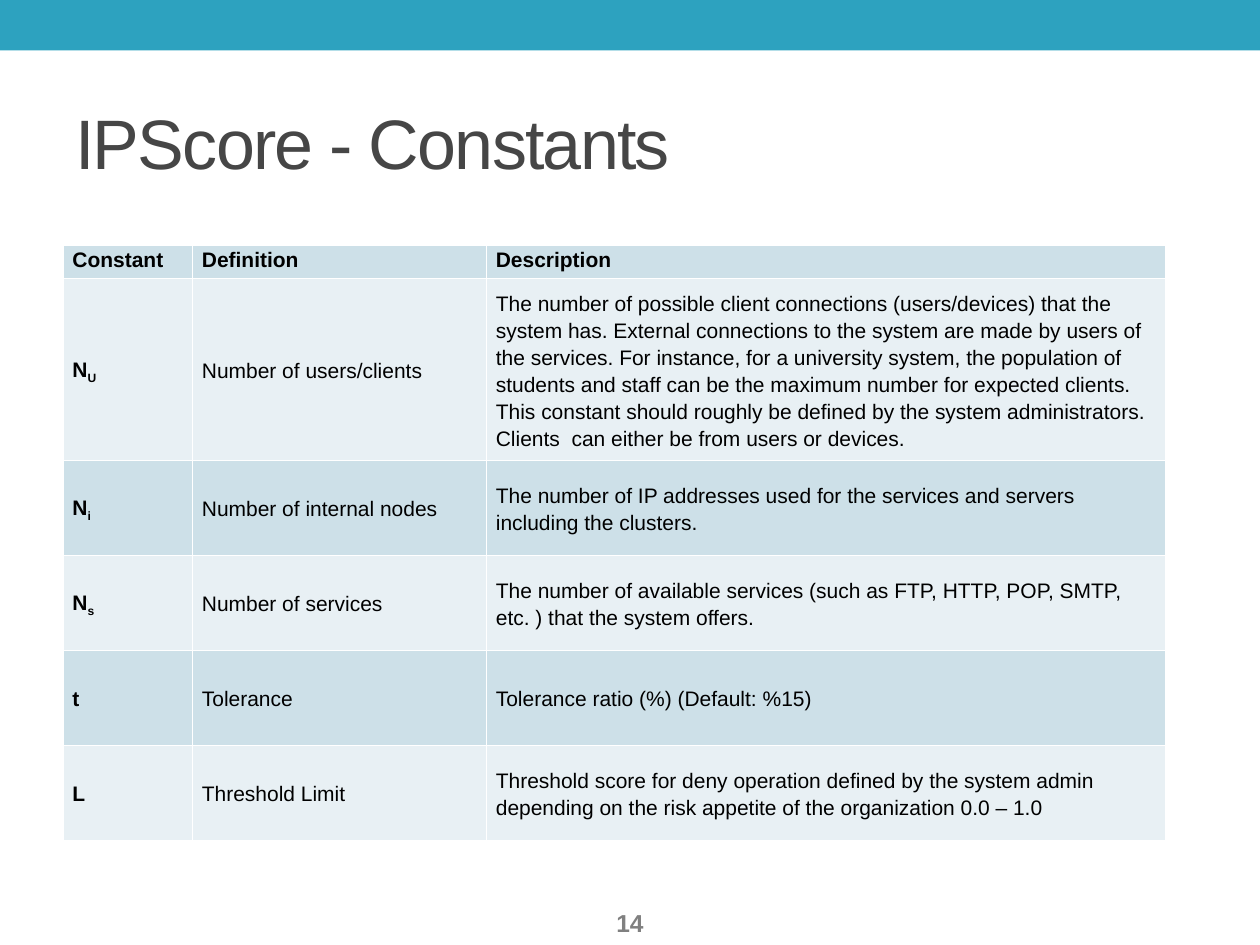
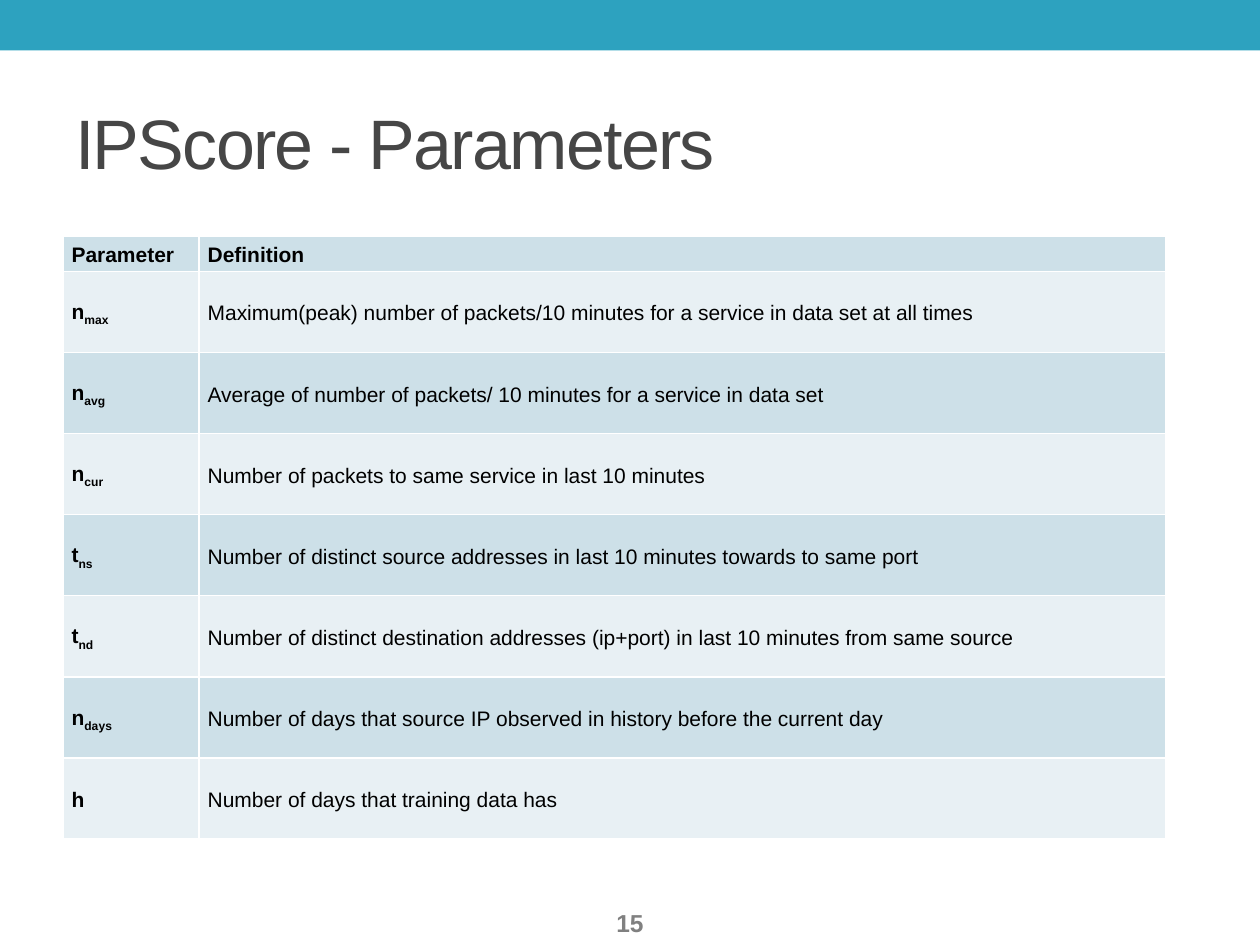
from lxml import etree
from pptx import Presentation, util as u
from pptx.dml.color import RGBColor
from pptx.enum import shapes, text
from pptx.oxml import ns

CONSTANTS = [
    ("Constant", "Definition", "Description"),
    (("N", "U"), "Number of users/clients",
     "The number of possible client connections (users/devices) that the system has. "
     "External connections to the system are made by users of the services. "
     "For instance, for a university system, the population of students and staff "
     "can be the maximum number for expected clients. This constant should roughly "
     "be defined by the system administrators. Clients  can either be from users or devices."),
    (("N", "i"), "Number of internal nodes",
     "The number of IP addresses used for the services and servers including the clusters."),
    (("N", "s"), "Number of services",
     "The number of available services (such as FTP, HTTP, POP, SMTP, etc. ) that the system offers."),
    ("t", "Tolerance", "Tolerance ratio (%) (Default: %15)"),
    ("L", "Threshold Limit",
     "Threshold score for deny operation defined by the system admin "
     "depending on the risk appetite of the organization 0.0 – 1.0"),
]
PARAMETERS = [
    ("Parameter", "Definition"),
    (("n", "max"), "Maximum(peak) number of packets/10 minutes for a service in data set at all times"),
    (("n", "avg"), "Average of number of packets/ 10 minutes for a service in data set"),
    (("n", "cur"), "Number of packets to same service in last 10 minutes"),
    (("t", "ns"), "Number of distinct source addresses in last 10 minutes towards to same port"),
    (("t", "nd"), "Number of distinct destination addresses (ip+port) in last 10 minutes from same source"),
    (("n", "days"), "Number of days that source IP observed in history before the current day"),
    ("h", "Number of days that training data has"),
]
SLIDES = [
    dict(title="IPScore - Constants", number=14, rows=CONSTANTS, top=140, inset=5.4,
         widths=[74, 168, 388], heights=[19.2, 103.9] + [54.3] * 4,
         header_anchor=text.MSO_ANCHOR.TOP),
    dict(title="IPScore - Parameters", number=15, rows=PARAMETERS, top=135, inset=4.9,
         widths=[77.8, 552.2], heights=[20] + [46.35] * 7,
         header_anchor=text.MSO_ANCHOR.MIDDLE),
]

FONT = "Arial"
WIDTH, HEIGHT, MARGIN = 720, 540, 36
BAND, TITLE, NUMBER, BODY, BORDER = "2DA2BF", "464646", "808080", "000000", "FFFFFF"
ROW_FILLS = ["CDE0E8", "E8F0F4"]


def color(value):
    return RGBColor.from_string(value)


def style_run(run, size, hue, bold=False):
    run.font.name, run.font.size, run.font.bold = FONT, u.Pt(size), bold
    run.font.color.rgb = color(hue)


def add_text(slide, box, content, size, hue, bold=False, align=None, spacing=0):
    shape = slide.shapes.add_textbox(*map(u.Pt, box))
    frame = shape.text_frame
    frame.word_wrap = True
    frame.vertical_anchor = text.MSO_ANCHOR.MIDDLE
    frame.text = content
    paragraph = frame.paragraphs[0]
    paragraph.alignment = align
    run = paragraph.runs[0]
    style_run(run, size, hue, bold)
    if spacing:
        run.font._element.set("spc", str(spacing * 100))


def add_frame(slide, title, number):
    band = slide.shapes.add_shape(shapes.MSO_SHAPE.RECTANGLE, 0, 0, u.Pt(WIDTH), u.Pt(28.8))
    band.shadow.inherit = False
    band.fill.solid()
    band.fill.fore_color.rgb = color(BAND)
    band.line.fill.background()
    add_text(slide, (MARGIN, 42, WIDTH - 2 * MARGIN, 78), title, 40, TITLE, spacing=-1)
    add_text(slide, ((WIDTH - 84) / 2, 514, 84, 26), str(number), 14, NUMBER,
             bold=True, align=text.PP_ALIGN.CENTER)


def set_borders(cell):
    properties = cell._tc.get_or_add_tcPr()
    for side in ("a:lnL", "a:lnR", "a:lnT", "a:lnB"):
        line = etree.SubElement(properties, ns.qn(side), w=str(u.Pt(1)))
        fill = etree.SubElement(line, ns.qn("a:solidFill"))
        etree.SubElement(fill, ns.qn("a:srgbClr"), val=BORDER)


def fill_cell(cell, content, fill, bold, anchor, inset):
    set_borders(cell)
    cell.fill.solid()
    cell.fill.fore_color.rgb = color(fill)
    cell.vertical_anchor = anchor
    cell.margin_left = cell.margin_right = u.Pt(inset)
    cell.margin_top = cell.margin_bottom = 0
    paragraph = cell.text_frame.paragraphs[0]
    paragraph.line_spacing = 1.15
    paragraph.space_after = u.Pt(10)
    parts = (content,) if isinstance(content, str) else content
    for index, part in enumerate(parts):
        run = paragraph.add_run()
        run.text = part
        style_run(run, 12, BODY, bold)
        if index:
            run.font._element.set("baseline", "-25000")


def add_grid(slide, rows, top, inset, widths, heights, header_anchor):
    box = (MARGIN, top, sum(widths), sum(heights))
    table = slide.shapes.add_table(len(rows), len(widths), *map(u.Pt, box)).table
    table.first_row = table.horz_banding = False
    for column, width in zip(table.columns, widths):
        column.width = u.Pt(width)
    for index, (row, height) in enumerate(zip(rows, heights)):
        table.rows[index].height = u.Pt(height)
        anchor = text.MSO_ANCHOR.MIDDLE if index else header_anchor
        for position, content in enumerate(row):
            bold = index == 0 or position == 0
            fill_cell(table.cell(index, position), content, ROW_FILLS[index % 2],
                      bold, anchor, inset)


def main():
    presentation = Presentation()
    presentation.slide_width, presentation.slide_height = u.Pt(WIDTH), u.Pt(HEIGHT)
    for content in SLIDES:
        slide = presentation.slides.add_slide(presentation.slide_layouts[6])
        grid = dict(content)
        add_frame(slide, grid.pop("title"), grid.pop("number"))
        add_grid(slide, **grid)
    presentation.save("out.pptx")


if __name__ == "__main__":
    main()
